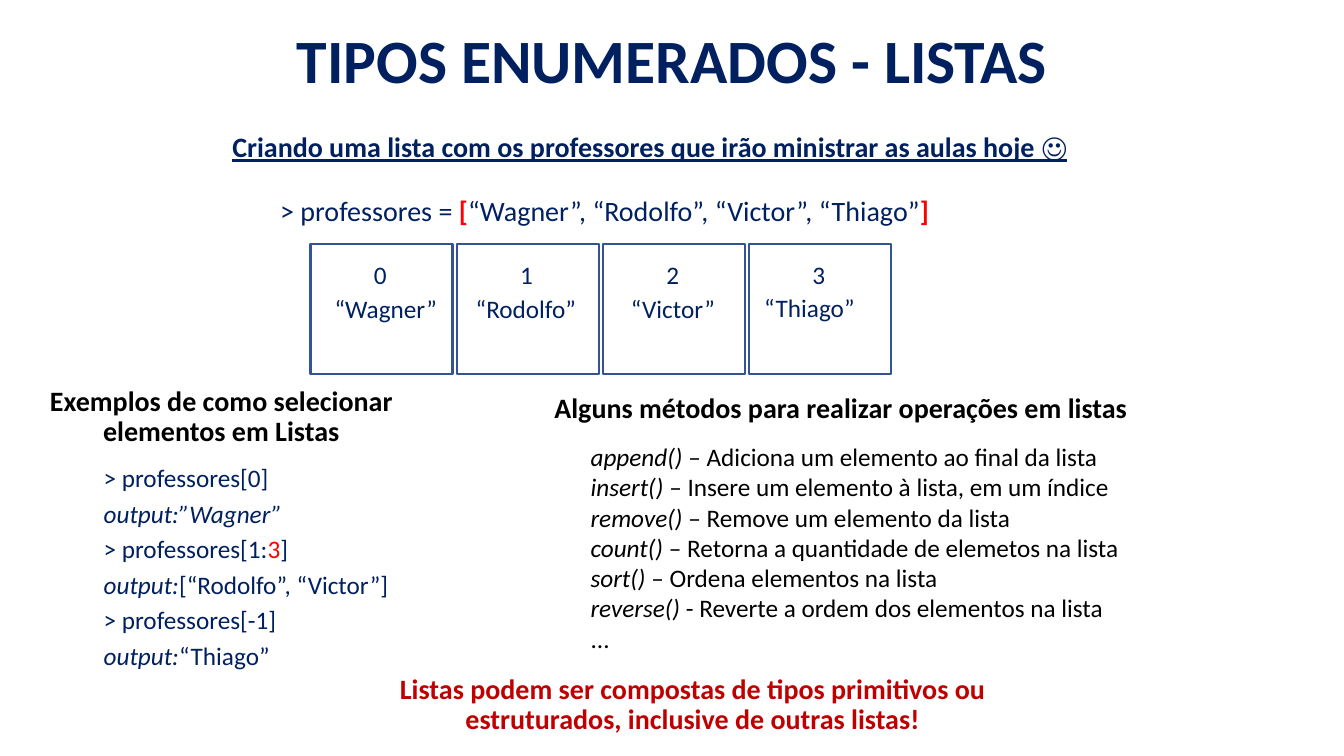
from dataclasses import dataclass

from pptx import Presentation
from pptx import util as u
from pptx.dml.color import RGBColor
from pptx.enum import shapes, text


@dataclass(frozen=True)
class Theme:
    font: str = "Calibri"
    navy: str = "002060"
    red: str = "FF0000"
    dark_red: str = "C00000"
    black: str = "000000"
    white: str = "FFFFFF"
    border: str = "325491"
    title: int = 44
    heading: int = 20
    body: int = 18


T = Theme()


def add_run(p, content, size, color, bold=False, italic=False, underline=False):
    r = p.add_run()
    r.text = content
    f = r.font
    f.name, f.size, f.color.rgb = T.font, u.Pt(size), RGBColor.from_string(color)
    f.bold, f.italic, f.underline = bold, italic, underline


def add_text(s, box, paragraphs, size, color, align=text.PP_ALIGN.LEFT,
             middle=False, spaced=True, wrap=True, grow=False):
    tf = s.shapes.add_textbox(*map(u.Inches, box)).text_frame
    tf.word_wrap = wrap
    tf.auto_size = text.MSO_AUTO_SIZE.SHAPE_TO_FIT_TEXT if grow else text.MSO_AUTO_SIZE.NONE
    tf.vertical_anchor = text.MSO_ANCHOR.MIDDLE if middle else text.MSO_ANCHOR.TOP
    for i, runs in enumerate(paragraphs):
        p = tf.add_paragraph() if i else tf.paragraphs[0]
        p.alignment = align
        if spaced:
            p.line_spacing = 0.9
            p.space_after = u.Pt(6)
            pPr = p._p.get_or_add_pPr()
            pPr.set("marL", str(u.Inches(0.06)))
            pPr.set("indent", "0")
        for content, style in runs:
            add_run(p, content, size, **{"color": color, **style})


def add_heading(s, box, content, color, align=text.PP_ALIGN.CENTER, **style):
    add_text(s, box, [[(content, {"bold": True, **style})]], T.heading, color,
             align, middle=True)


def add_title(s, box, content):
    sp = s.shapes.title
    sp.left, sp.top, sp.width, sp.height = map(u.Inches, box)
    tf = sp.text_frame
    tf.word_wrap = True
    tf.auto_size = text.MSO_AUTO_SIZE.NONE
    tf.vertical_anchor = text.MSO_ANCHOR.TOP
    p = tf.paragraphs[0]
    p.alignment = text.PP_ALIGN.CENTER
    add_run(p, content, T.title, T.navy, bold=True)


def add_cell(s, box, index, name, name_box):
    left, top, width, height = box
    dx, dy, name_width = name_box
    sp = s.shapes.add_shape(shapes.MSO_SHAPE.RECTANGLE, *map(u.Inches, box))
    sp.shadow.inherit = False
    sp.fill.solid()
    sp.fill.fore_color.rgb = RGBColor.from_string(T.white)
    sp.line.color.rgb = RGBColor.from_string(T.border)
    sp.line.width = u.Pt(1.75)
    add_text(s, (left + dx, top + dy, name_width, 0.4), [[(name, {})]],
             T.body, T.navy, spaced=False, wrap=False, grow=True)
    add_text(s, (left + 0.47, top + 0.1, 0.38, 0.45), [[(str(index), {})]],
             T.body, T.navy, middle=True)


def add_list_diagram(s, box):
    left, top, width, height = box
    bracket = {"color": T.red, "bold": True}
    add_text(s, (left, top, width, 0.57), [[
        ("> professores = ", {}),
        ("[", bracket),
        ("“Wagner”, “Rodolfo”, “Victor”, “Thiago”", {}),
        ("]", bracket),
    ]], T.heading, T.navy, middle=True)
    cells = [
        ("“Wagner”", (0.14, 0.44, 1.23)),
        ("“Rodolfo”", (0.09, 0.44, 1.21)),
        ("“Victor”", (0.18, 0.44, 1.04)),
        ("“Thiago”", (0.05, 0.43, 1.11)),
    ]
    for i, (name, name_box) in enumerate(cells):
        cell = (left + 0.46 + 1.45 * i, top + 0.6, 1.41, height - 0.6)
        add_cell(s, cell, i, name, name_box)


def add_examples(s, box):
    left, top, width, height = box
    italic = {"italic": True}
    add_text(s, (left + 0.69, top + 0.71, 3.33, height - 0.71), [
        [("> professores[0]", {})],
        [("output:”Wagner”", italic)],
        [("> professores[1:", {}), ("3", {"color": T.red}), ("]", {})],
        [("output:", italic), ("[“Rodolfo”, “Victor”]", {})],
        [("> professores[-1]", {})],
        [("output:", italic), ("“Thiago”", {})],
    ], T.body, T.navy, grow=True)
    add_heading(s, (left, top, width, 0.57),
                "Exemplos de como selecionar elementos em Listas", T.black)


def add_methods(s, box):
    left, top, width, height = box
    add_heading(s, (left, top, 6.34, 0.57),
                "Alguns métodos para realizar operações em listas", T.black,
                text.PP_ALIGN.LEFT)
    methods = [
        ("append()", " – Adiciona um elemento ao final da lista"),
        ("insert()", " – Insere um elemento à lista, em um índice"),
        ("remove()", " – Remove um elemento da lista"),
        ("count()", " – Retorna a quantidade de elemetos na lista"),
        ("sort()", " – Ordena elementos na lista"),
        ("reverse()", " - Reverte a ordem dos elementos na lista"),
    ]
    lines = [[(name, {"italic": True}), (use, {})] for name, use in methods]
    add_text(s, (left + 0.42, top + 0.55, width - 0.42, height - 0.55),
             lines + [[("...", {})]], T.body, T.black, spaced=False, grow=True)


def main():
    prs = Presentation()
    prs.slide_width, prs.slide_height = u.Inches(13.33), u.Inches(7.5)
    s = prs.slides.add_slide(prs.slide_layouts[5])
    add_title(s, (0.3, 0.17, 12.74, 0.84), "TIPOS ENUMERADOS - LISTAS")
    add_heading(s, (2.02, 1.19, 8.79, 0.57),
                "Criando uma lista com os professores que irão ministrar as aulas hoje ☺",
                T.navy, underline=True)
    add_list_diagram(s, (2.62, 1.82, 8.79, 1.89))
    add_examples(s, (0.18, 3.86, 3.97, 2.87))
    add_methods(s, (5.34, 3.78, 7.09, 2.77))
    add_heading(s, (3.19, 6.71, 7.3, 0.57),
                "Listas podem ser compostas de tipos primitivos ou estruturados, "
                "inclusive de outras listas!", T.dark_red)
    prs.save("out.pptx")


if __name__ == "__main__":
    main()
